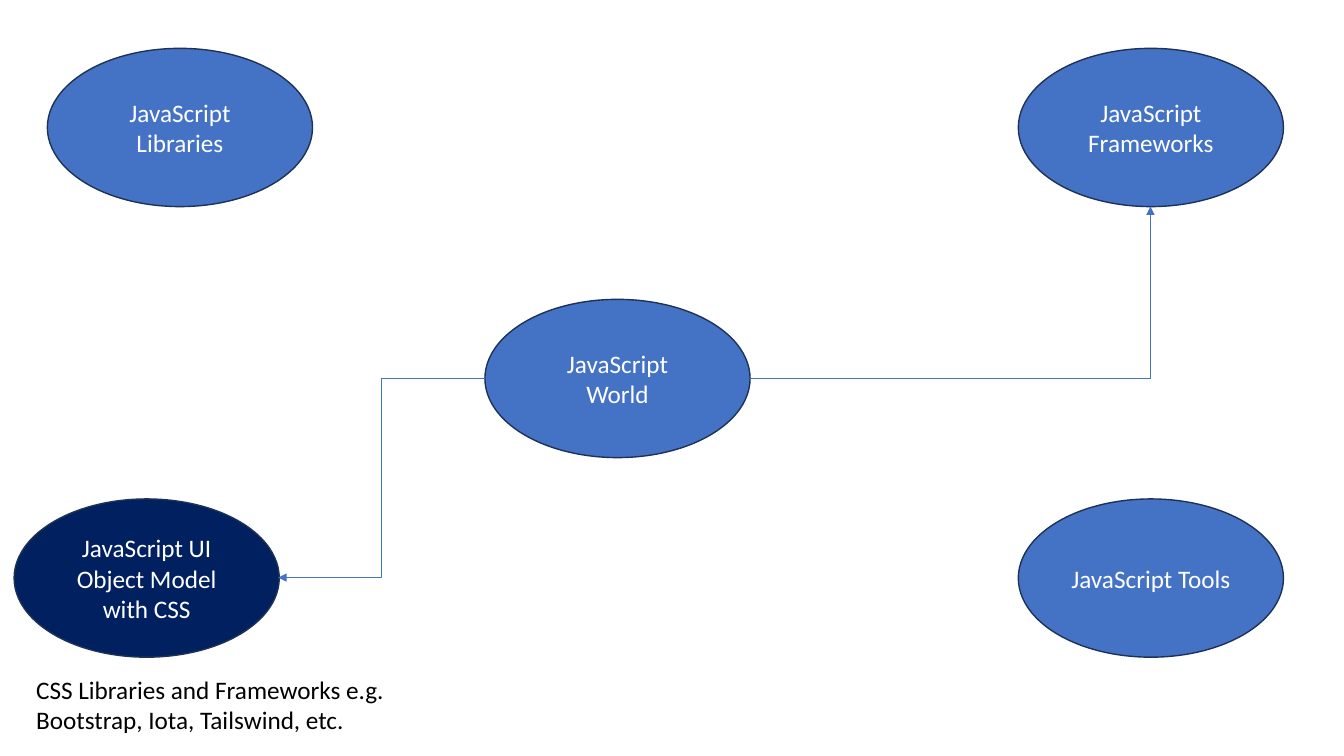
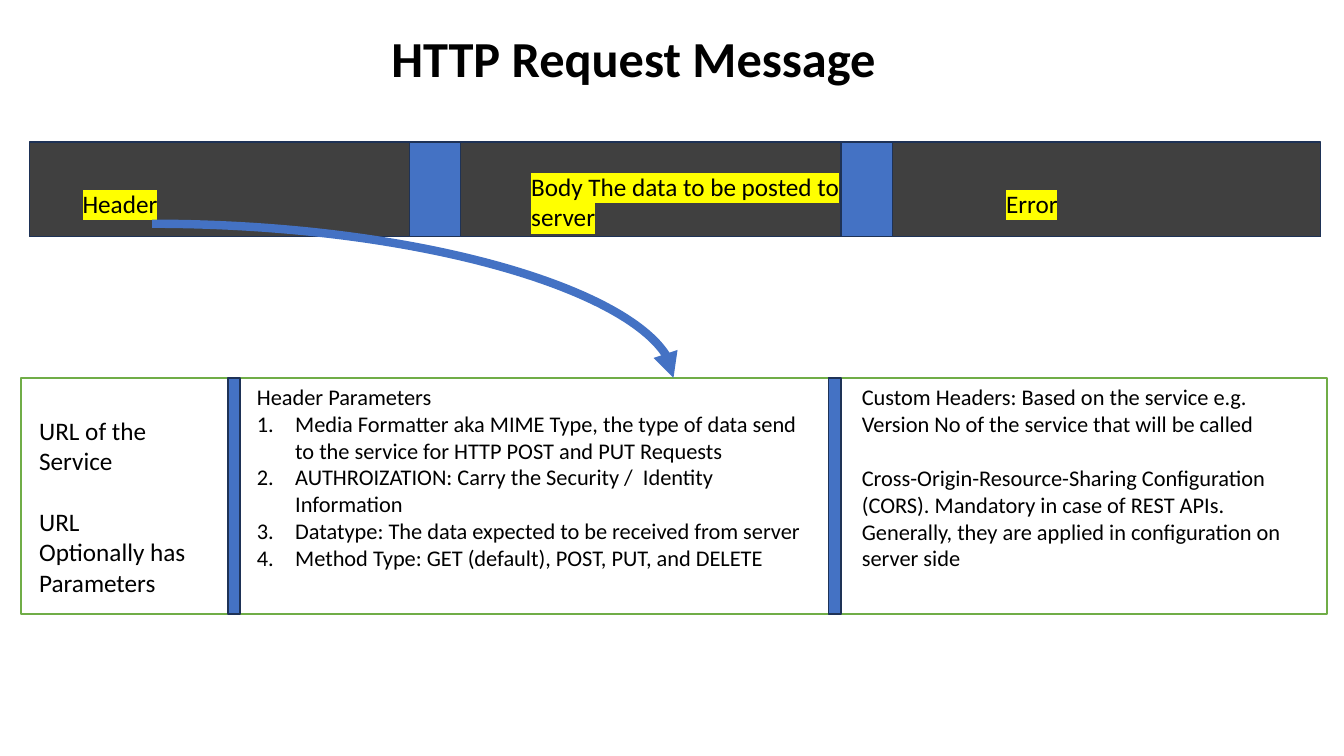
from typing import NamedTuple

from lxml.etree import SubElement
from pptx import Presentation
from pptx.dml.color import RGBColor
from pptx.enum.shapes import MSO_CONNECTOR as LINK, MSO_SHAPE as SHAPE
from pptx.enum.text import MSO_ANCHOR as ANCHOR, MSO_AUTO_SIZE as FIT, PP_ALIGN as ALIGN
from pptx.oxml.ns import qn
from pptx.util import Inches, Pt

WHITE = RGBColor(0xFF, 0xFF, 0xFF)
BLACK = RGBColor(0x00, 0x00, 0x00)
BLUE = RGBColor(0x44, 0x72, 0xC4)
NAVY = RGBColor(0x00, 0x20, 0x60)
EDGE = RGBColor(0x1E, 0x32, 0x56)
DARK = RGBColor(0x40, 0x40, 0x40)
GREEN = RGBColor(0x70, 0xAD, 0x47)
YELLOW = RGBColor(0xFF, 0xFF, 0x00)
FONT = "Calibri"


class Box(NamedTuple):
    left: float
    top: float
    width: float
    height: float


class Node(NamedTuple):
    text: str
    left: float
    top: float
    fill: RGBColor = BLUE


class Note(NamedTuple):
    box: Box
    lines: list[str]
    size: int = 18
    gap: float = 0
    mark: bool = False
    steps: bool = False


class Arrow(NamedTuple):
    kind: LINK
    start: tuple[float, float]
    end: tuple[float, float]
    preset: str
    width: float = 0.5


NODE_W, NODE_H = 2.63, 1.57
NODES = [
    Node("JavaScript World", 4.81, 2.97),
    Node("JavaScript Libraries", 0.47, 0.48),
    Node("JavaScript Frameworks", 10.1, 0.48),
    Node("JavaScript UI Object Model with CSS", 0.14, 4.95, NAVY),
    Node("JavaScript Tools", 10.1, 4.95),
]
CSS_NOTE = Note(
    Box(0.26, 6.64, 3.71, 0.71),
    ["CSS Libraries and Frameworks e.g. Bootstrap, Iota, Tailswind, etc."],
)
LINKS = [
    Arrow(LINK.ELBOW, (4.81, 3.75), (2.76, 5.73), "bentConnector3"),
    Arrow(LINK.ELBOW, (7.44, 3.75), (11.41, 2.05), "bentConnector2"),
]

BAND = Box(0.29, 1.41, 12.81, 0.94)
PANEL = Box(0.21, 3.75, 12.95, 2.34)
BAND_BARS = (4.06, 8.34)
PANEL_BARS = (2.26, 8.22)
LABELS = [
    Note(Box(9.88, 1.82, 3.28, 0.4), ["Error"], mark=True),
    Note(Box(5.17, 1.65, 3.28, 0.71), ["Body The data to be posted to server"], mark=True),
    Note(Box(0.72, 1.82, 3.28, 0.4), ["Header"], mark=True),
]
DETAILS = [
    Note(
        Box(0.29, 4.07, 1.67, 1.92),
        ["URL of the Service", "URL Optionally has Parameters"],
        gap=22,
    ),
    Note(
        Box(2.45, 3.75, 5.67, 1.99),
        [
            "Header Parameters",
            "Media Formatter aka MIME Type, the type of data send to the service "
            "for HTTP POST and PUT Requests",
            "AUTHROIZATION: Carry the Security /  Identity Information",
            "Datatype: The data expected to be received from server",
            "Method Type: GET (default), POST, PUT, and DELETE",
        ],
        size=16,
        steps=True,
    ),
    Note(
        Box(8.45, 3.75, 4.6, 1.99),
        [
            "Custom Headers: Based on the service e.g. Version No of the service "
            "that will be called",
            "Cross-Origin-Resource-Sharing Configuration (CORS). Mandatory in case of "
            "REST APIs. Generally, they are applied in configuration on server side",
        ],
        size=16,
        gap=19.5,
    ),
]
CURVE = Arrow(LINK.CURVE, (1.51, 2.22), (6.68, 3.75), "curvedConnector2", 6)


def set_all(item, values: dict) -> None:
    for name, value in values.items():
        setattr(item, name, value)


def inches(values) -> list:
    return [Inches(value) for value in values]


def write(frame, lines: list[str], color=BLACK, size=18, bold=False, align=ALIGN.LEFT, gap=0) -> None:
    """Fill a text frame, one paragraph a line, with a gap between paragraphs."""
    frame.word_wrap = True
    for i, line in enumerate(lines):
        para = frame.add_paragraph() if i else frame.paragraphs[0]
        para.alignment = align
        if i and gap:
            para.space_before = Pt(gap)
        run = para.add_run()
        run.text = line
        set_all(run.font, {"name": FONT, "size": Pt(size), "bold": bold})
        run.font.color.rgb = color


def add_block(slide, kind: SHAPE, box: Box, fill: RGBColor, edge: RGBColor = EDGE):
    block = slide.shapes.add_shape(kind, *inches(box))
    block.shadow.inherit = False
    block.fill.solid()
    block.fill.fore_color.rgb = fill
    block.line.color.rgb = edge
    block.line.width = Pt(1)
    return block


def add_node(slide, node: Node) -> None:
    box = Box(node.left, node.top, NODE_W, NODE_H)
    oval = add_block(slide, SHAPE.OVAL, box, node.fill)
    oval.text_frame.vertical_anchor = ANCHOR.MIDDLE
    write(oval.text_frame, [node.text], WHITE, align=ALIGN.CENTER)


def add_bars(slide, lefts: tuple, width: float, row: Box) -> None:
    for left in lefts:
        add_block(slide, SHAPE.RECTANGLE, Box(left, row.top, width, row.height), BLUE)


def add_note(slide, note: Note) -> None:
    area = slide.shapes.add_textbox(*inches(note.box))
    write(area.text_frame, note.lines, size=note.size, gap=note.gap)
    if note.mark:
        highlight(area)
    if note.steps:
        number(area)


def highlight(area) -> None:
    for props in area.element.iter(qn("a:rPr")):
        mark = SubElement(props, qn("a:highlight"))
        SubElement(mark, qn("a:srgbClr"), val=str(YELLOW))
        props.find(qn("a:solidFill")).addnext(mark)


def number(area) -> None:
    """Number every paragraph after the heading."""
    for para in list(area.element.iter(qn("a:p")))[1:]:
        props = para.get_or_add_pPr()
        props.set("marL", str(Inches(0.38)))
        props.set("indent", str(Inches(-0.38)))
        SubElement(props, qn("a:buAutoNum"), type="arabicPeriod")


def add_arrow(slide, arrow: Arrow) -> None:
    line = slide.shapes.add_connector(arrow.kind, *inches(arrow.start + arrow.end))
    line.line.color.rgb = BLUE
    line.line.width = Pt(arrow.width)
    props = line.element.spPr
    props.find(qn("a:prstGeom")).set("prst", arrow.preset)
    SubElement(props.find(qn("a:ln")), qn("a:tailEnd"), type="triangle")
    SubElement(props, qn("a:effectLst"))


def add_title(slide, text: str, box: Box) -> None:
    title = slide.shapes.title
    set_all(title, dict(zip(("left", "top", "width", "height"), inches(box))))
    set_all(title.text_frame, {"auto_size": FIT.NONE, "vertical_anchor": ANCHOR.TOP})
    write(title.text_frame, [text], size=36, bold=True, align=ALIGN.CENTER)


def draw_world(deck) -> None:
    slide = deck.slides.add_slide(deck.slide_layouts.get_by_name("Blank"))
    for node in NODES:
        add_node(slide, node)
    add_note(slide, CSS_NOTE)
    for link in LINKS:
        add_arrow(slide, link)


def draw_request(deck) -> None:
    slide = deck.slides.add_slide(deck.slide_layouts.get_by_name("Title Only"))
    add_title(slide, "HTTP Request Message", Box(3.38, 0.22, 5.81, 0.71))
    add_block(slide, SHAPE.RECTANGLE, BAND, DARK)
    add_bars(slide, BAND_BARS, 0.51, BAND)
    for label in LABELS:
        add_note(slide, label)
    add_block(slide, SHAPE.RECTANGLE, PANEL, WHITE, GREEN)
    add_arrow(slide, CURVE)
    add_bars(slide, PANEL_BARS, 0.12, PANEL)
    for detail in DETAILS:
        add_note(slide, detail)


def main() -> None:
    deck = Presentation()
    set_all(deck, {"slide_width": Inches(13.33), "slide_height": Inches(7.5)})
    draw_world(deck)
    draw_request(deck)
    deck.save("out.pptx")


if __name__ == "__main__":
    main()
